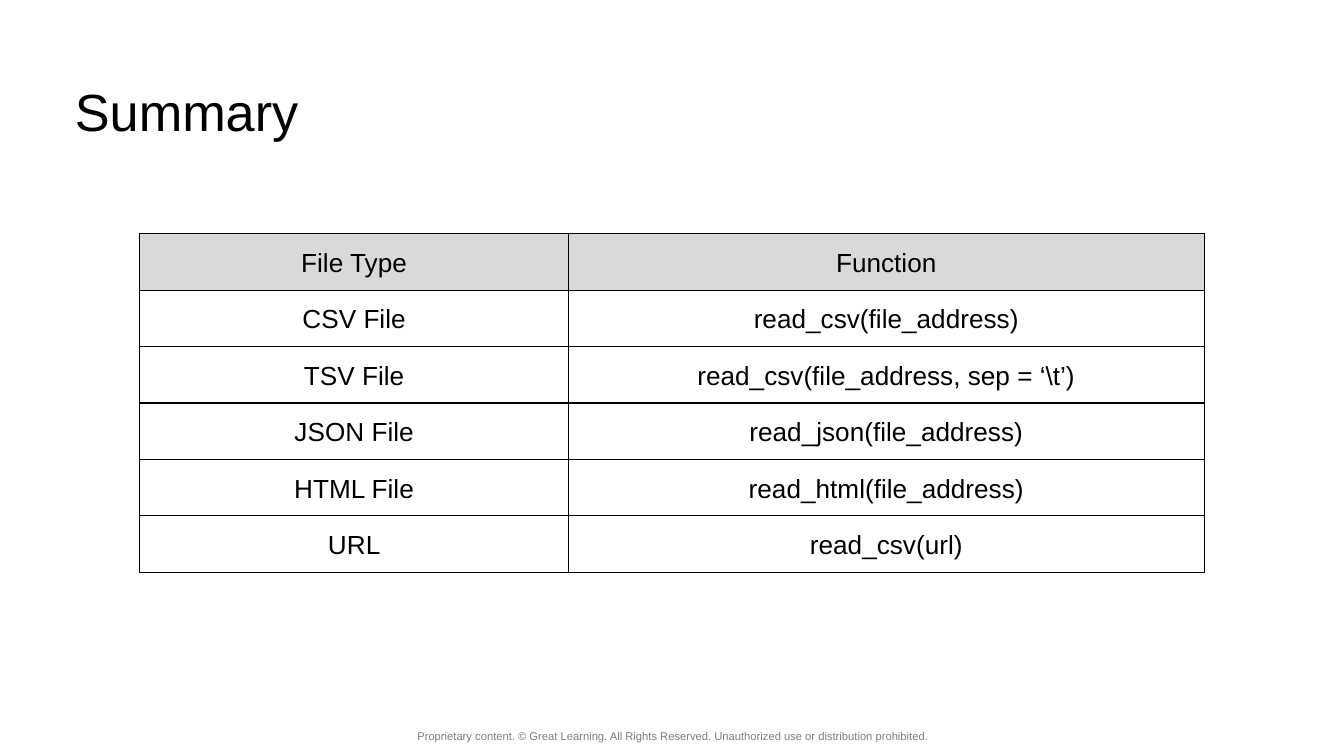
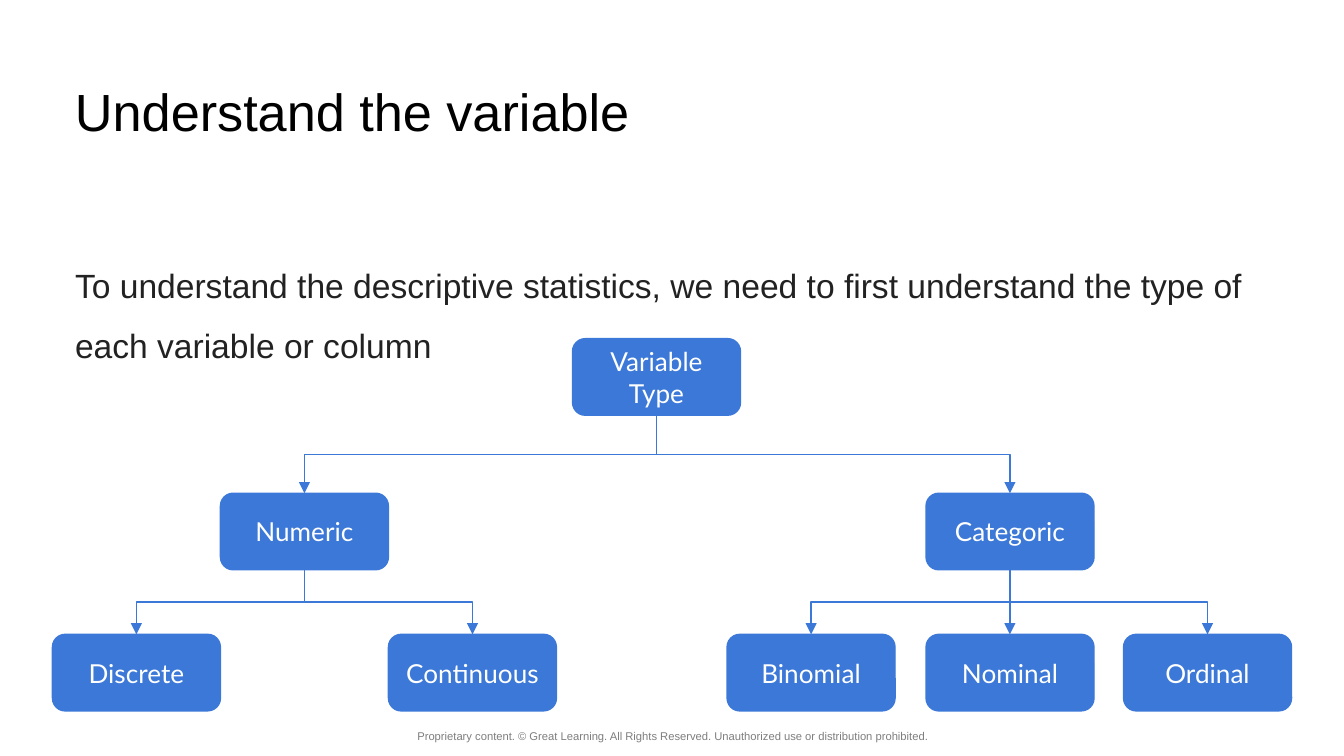
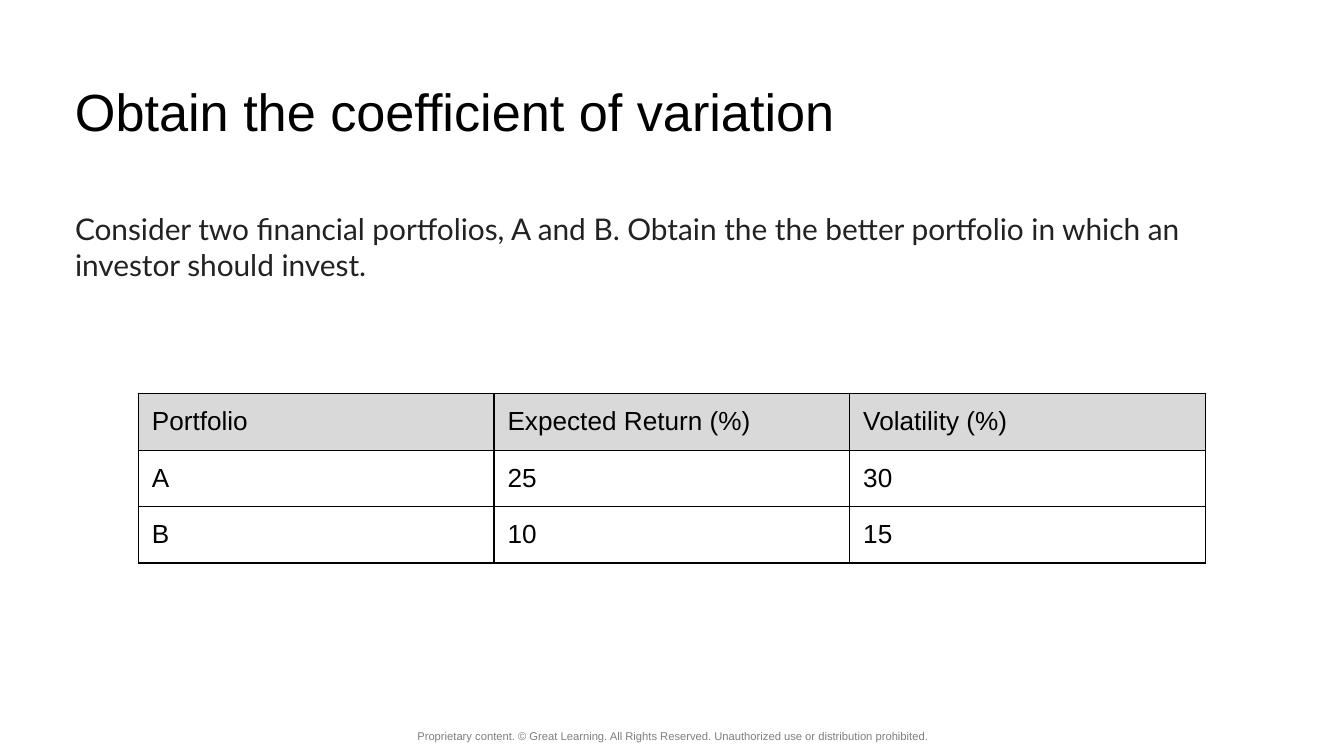
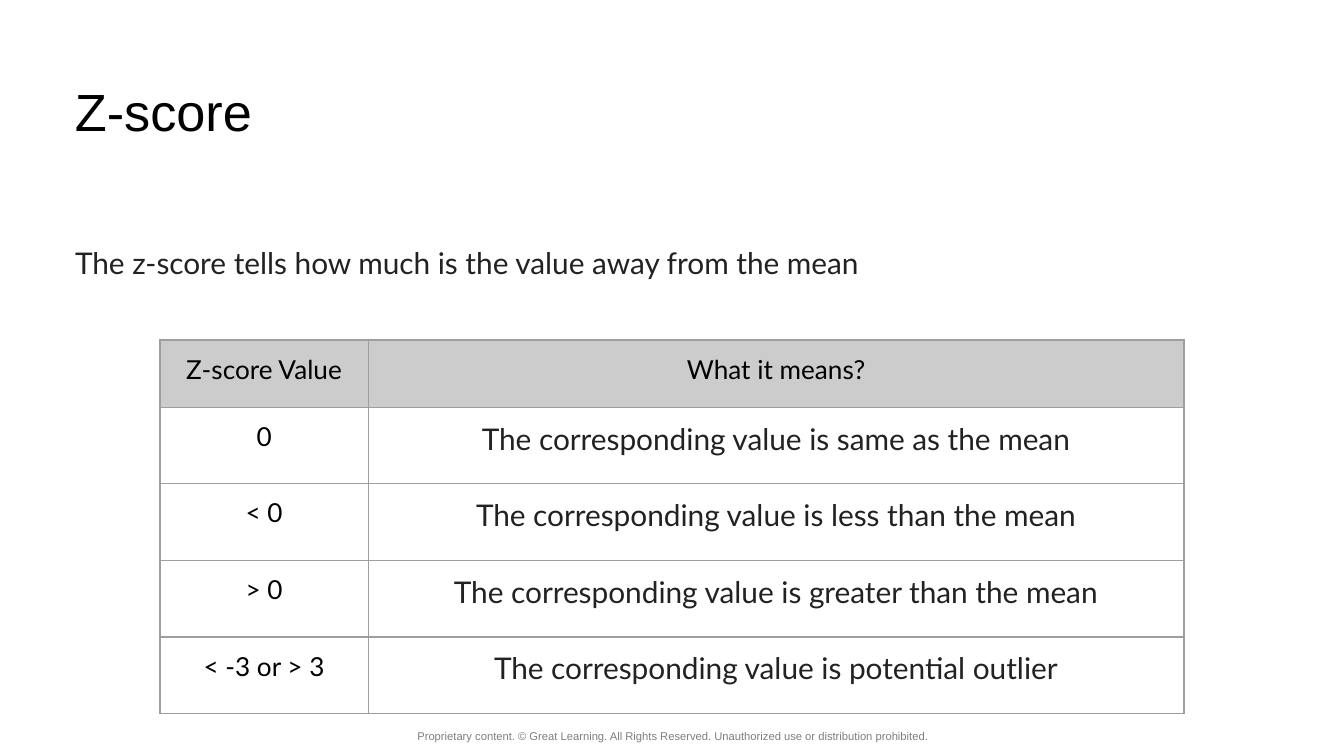
"""Build four slides on reading files, variable types and dispersion."""
import pptx
import pptx.dml.color
import pptx.enum.shapes
import pptx.enum.text
import pptx.oxml
import pptx.oxml.ns
import pptx.util

Inches = pptx.util.Inches
Pt = pptx.util.Pt
ALIGN = pptx.enum.text.PP_ALIGN
ANCHOR = pptx.enum.text.MSO_ANCHOR
qn = pptx.oxml.ns.qn

BLACK = "000000"
BODY = "222222"
BLUE = "3C78D8"
WHITE = "FFFFFF"
FOOTER_GREY = "7E7E7E"
HEADER_GREY = "D9D9D9"
BOX_WIDTH, BOX_HEIGHT = 1.25, 0.57
FOOTER = ("Proprietary content. © Great Learning. All Rights Reserved. "
          "Unauthorized use or distribution prohibited.")


def color(value):
    """Turn a hex string into a colour."""
    return pptx.dml.color.RGBColor.from_string(value)


def style(paragraph, size, font, hex_color, align=ALIGN.LEFT):
    """Set the font and alignment of a paragraph."""
    paragraph.alignment = align
    paragraph.font.size = Pt(size)
    paragraph.font.name = font
    paragraph.font.color.rgb = color(hex_color)


def set_margins(target, bottom=0.1):
    """Set the inner margins of a text frame or a table cell."""
    target.margin_left = target.margin_right = target.margin_top = Inches(0.1)
    target.margin_bottom = Inches(bottom)


def add_text(slide, box, text, size, font, hex_color, align=ALIGN.LEFT, spacing=1.0):
    """Add a wrapped text box with one paragraph."""
    frame = slide.shapes.add_textbox(*map(Inches, box)).text_frame
    frame.word_wrap = True
    set_margins(frame)
    paragraph = frame.paragraphs[0]
    paragraph.text = text
    paragraph.line_spacing = spacing
    style(paragraph, size, font, hex_color, align)


def add_slide(presentation, title):
    """Add a blank slide with the shared footer and title."""
    slide = presentation.slides.add_slide(presentation.slide_layouts[6])
    slide.background.fill.solid()
    slide.background.fill.fore_color.rgb = color(WHITE)
    add_text(slide, (2.45, 5.37, 5.11, 0.25), FOOTER, 6, "Arial", FOOTER_GREY,
             ALIGN.CENTER, 1.02)
    add_text(slide, (0.46, 0.49, 7.37, 0.63), title, 28, "Arial", BLACK)
    return slide


def set_borders(cell, hex_color):
    """Draw a thin line on all four sides of a cell."""
    properties = cell._tc.get_or_add_tcPr()
    for side in ("lnL", "lnR", "lnT", "lnB"):
        properties.append(pptx.oxml.parse_xml(
            f'<a:{side} {pptx.oxml.ns.nsdecls("a")} w="{Pt(0.75)}"><a:solidFill>'
            f'<a:srgbClr val="{hex_color}"/></a:solidFill></a:{side}>'))


def add_table(slide, left, top, widths, heights, rows, font="Arial", align=ALIGN.LEFT,
              anchor=ANCHOR.TOP, header=HEADER_GREY, border=BLACK):
    """Add a bordered table with a shaded header row."""
    frame = slide.shapes.add_table(len(rows), len(widths), Inches(left), Inches(top),
                                   Inches(sum(widths)), Inches(sum(heights)))
    table = frame.table
    table.first_row = table.horz_banding = False
    for column, width in zip(table.columns, widths):
        column.width = Inches(width)
    for row_index, values in enumerate(rows):
        table.rows[row_index].height = Inches(heights[row_index])
        for column_index, value in enumerate(values):
            cell = table.cell(row_index, column_index)
            cell.text = value
            cell.vertical_anchor = anchor
            set_margins(cell, bottom=0.08)
            style(cell.text_frame.paragraphs[0], 14, font, BLACK, align)
            set_borders(cell, border)
            if row_index == 0:
                cell.fill.solid()
                cell.fill.fore_color.rgb = color(header)
            else:
                cell.fill.background()
    return table


def add_node(slide, left, top, label):
    """Add a rounded box of the variable tree."""
    shape = slide.shapes.add_shape(
        pptx.enum.shapes.MSO_SHAPE.ROUNDED_RECTANGLE, Inches(left), Inches(top),
        Inches(BOX_WIDTH), Inches(BOX_HEIGHT))
    shape.shadow.inherit = False
    shape.fill.solid()
    shape.fill.fore_color.rgb = color(BLUE)
    shape.line.color.rgb = color(BLUE)
    shape.line.width = Pt(0.75)
    frame = shape.text_frame
    frame.word_wrap = True
    frame.vertical_anchor = ANCHOR.MIDDLE
    set_margins(frame)
    frame.text = label
    style(frame.paragraphs[0], 14, "Lato", WHITE, ALIGN.CENTER)
    return shape


def add_branch(slide, parent, child):
    """Join a parent's bottom to a child's top with a bent arrow."""
    start_x, start_y = parent.left + parent.width // 2, parent.top + parent.height
    end_x, end_y = child.left + child.width // 2, child.top
    connector = slide.shapes.add_connector(
        pptx.enum.shapes.MSO_CONNECTOR.ELBOW, start_x, start_y, end_x, end_y)
    connector.begin_connect(parent, 2)
    connector.end_connect(child, 0)
    connector.width, connector.height = end_y - start_y, abs(end_x - start_x)
    connector.left = (start_x + end_x - connector.width) // 2
    connector.top = (start_y + end_y - connector.height) // 2
    rightward = end_x >= start_x
    properties = connector._element.spPr
    transform = properties.find(qn("a:xfrm"))
    transform.set("rot", str((270 if rightward else 90) * 60000))
    transform.set("flipH", "1" if rightward else "0")
    transform.set("flipV", "0")
    connector.line.color.rgb = color(BLUE)
    connector.line.width = Pt(0.75)
    arrowhead = pptx.oxml.parse_xml(
        f'<a:tailEnd {pptx.oxml.ns.nsdecls("a")} type="triangle"/>')
    properties.find(qn("a:ln")).append(arrowhead)
    properties.append(pptx.oxml.parse_xml(f'<a:effectLst {pptx.oxml.ns.nsdecls("a")}/>'))


def build_summary(presentation):
    """Build the table of file types and reading functions."""
    slide = add_slide(presentation, "Summary")
    rows = [("File Type", "Function"),
            ("CSV File", "read_csv(file_address)"),
            ("TSV File", "read_csv(file_address, sep = ‘\\t’)"),
            ("JSON File", "read_json(file_address)"),
            ("HTML File", "read_html(file_address)"),
            ("URL", "read_csv(url)")]
    add_table(slide, 1.04, 1.74, (3.19, 4.73), [0.42] * len(rows), rows,
              align=ALIGN.CENTER, anchor=ANCHOR.MIDDLE)


def build_variable_tree(presentation):
    """Build the tree of variable types."""
    slide = add_slide(presentation, "Understand the variable")
    add_text(slide, (0.46, 1.72, 9.18, 0.8),
             "To understand the descriptive statistics, we need to first understand "
             "the type of each variable or column", 18, "Arial", BODY, spacing=1.5)
    tree = [(1.64, "Numeric", [(0.39, "Discrete"), (2.89, "Continuous")]),
            (6.89, "Categoric", [(5.41, "Binomial"), (6.89, "Nominal"), (8.36, "Ordinal")])]
    root = add_node(slide, 4.26, 2.52, "Variable Type")
    for left, label, kinds in tree:
        group = add_node(slide, left, 3.67, label)
        add_branch(slide, root, group)
        for kind_left, kind_label in kinds:
            add_branch(slide, group, add_node(slide, kind_left, 4.72, kind_label))


def build_portfolios(presentation):
    """Build the comparison of two portfolios."""
    slide = add_slide(presentation, "Obtain the coefficient of variation")
    add_text(slide, (0.46, 1.47, 9.18, 0.93),
             "Consider two financial portfolios, A and B. Obtain the the better portfolio "
             "in which an investor should invest.", 16, "Lato", BODY)
    rows = [("Portfolio", "Expected Return (%)", "Volatility (%)"),
            ("A", "25", "30"),
            ("B", "10", "15")]
    add_table(slide, 1.03, 2.93, [7.94 / 3] * 3, [0.42] * len(rows), rows)


def build_z_scores(presentation):
    """Build the table of z-score meanings."""
    slide = add_slide(presentation, "Z-score")
    add_text(slide, (0.46, 1.72, 9.18, 0.46),
             "The z-score tells how much is the value away from the mean", 16, "Lato", BODY)
    meanings = [("0", "same as the mean"), ("< 0", "less than the mean"),
                ("> 0", "greater than the mean"), ("< -3 or > 3", "potential outlier")]
    rows = [("Z-score Value", "What it means?")]
    rows += [(score, f"The corresponding value is {meaning}") for score, meaning in meanings]
    table = add_table(slide, 1.19, 2.53, (1.55, 6.07), [0.5] + [0.57] * len(meanings), rows,
                      "Lato", ALIGN.CENTER, header="CCCCCC", border="9E9E9E")
    for row_index in range(1, len(rows)):
        paragraph = table.cell(row_index, 1).text_frame.paragraphs[0]
        style(paragraph, 16, "Lato", BODY, ALIGN.CENTER)


def main():
    """Build and save the presentation."""
    presentation = pptx.Presentation()
    presentation.slide_width = Inches(10)
    presentation.slide_height = presentation.slide_width * 9 // 16
    build_summary(presentation)
    build_variable_tree(presentation)
    build_portfolios(presentation)
    build_z_scores(presentation)
    presentation.save("out.pptx")


if __name__ == "__main__":
    main()
